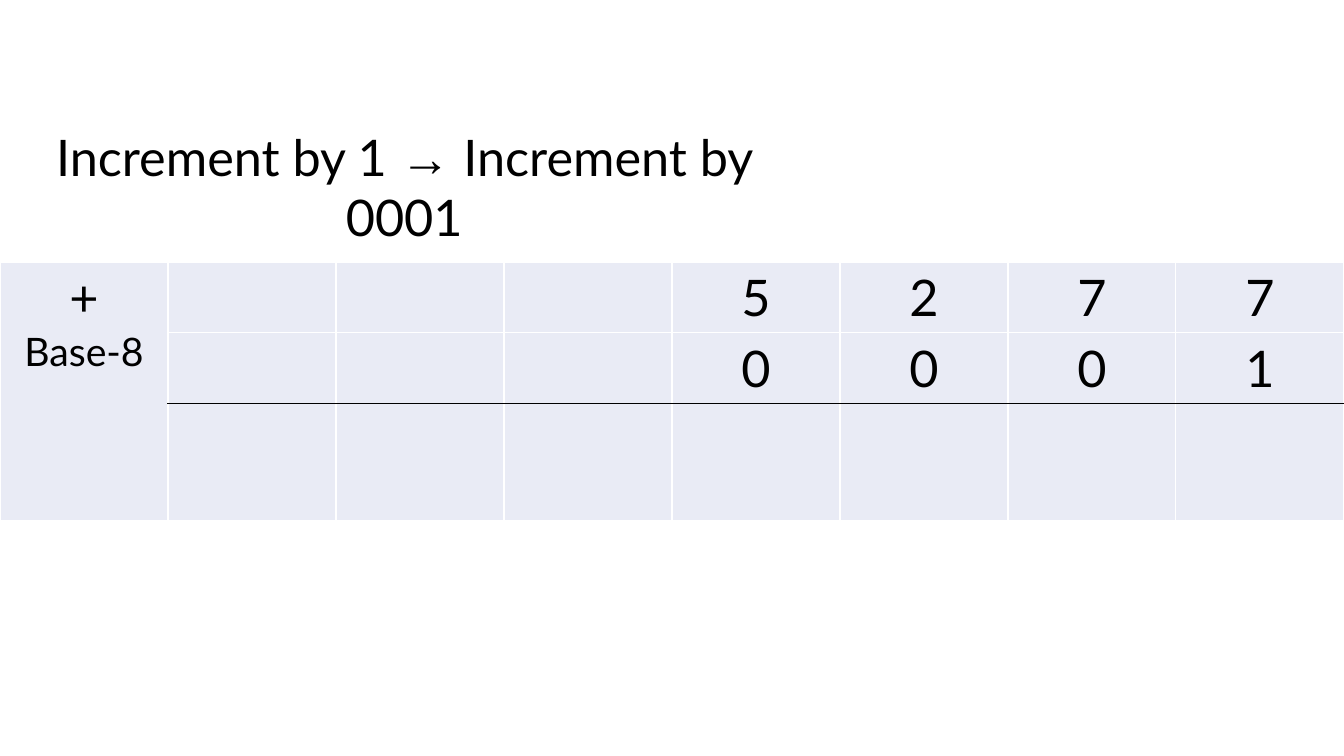
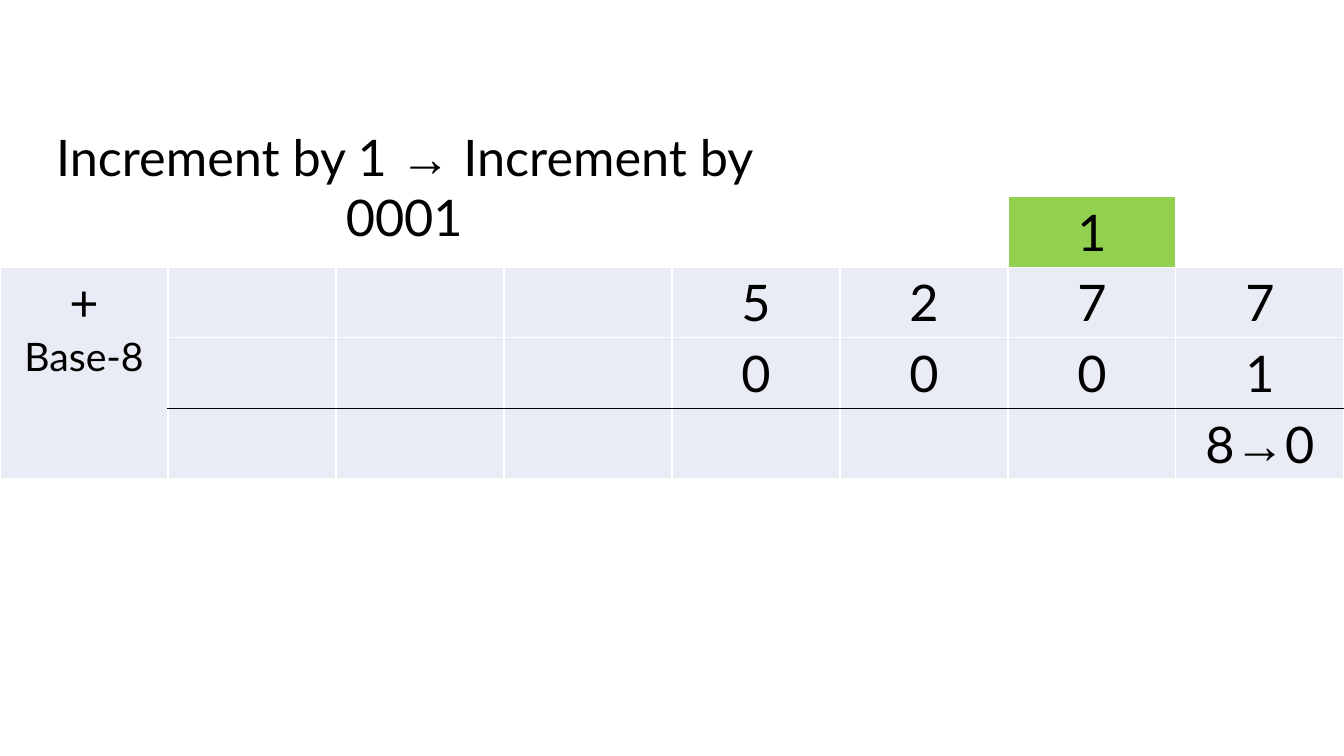
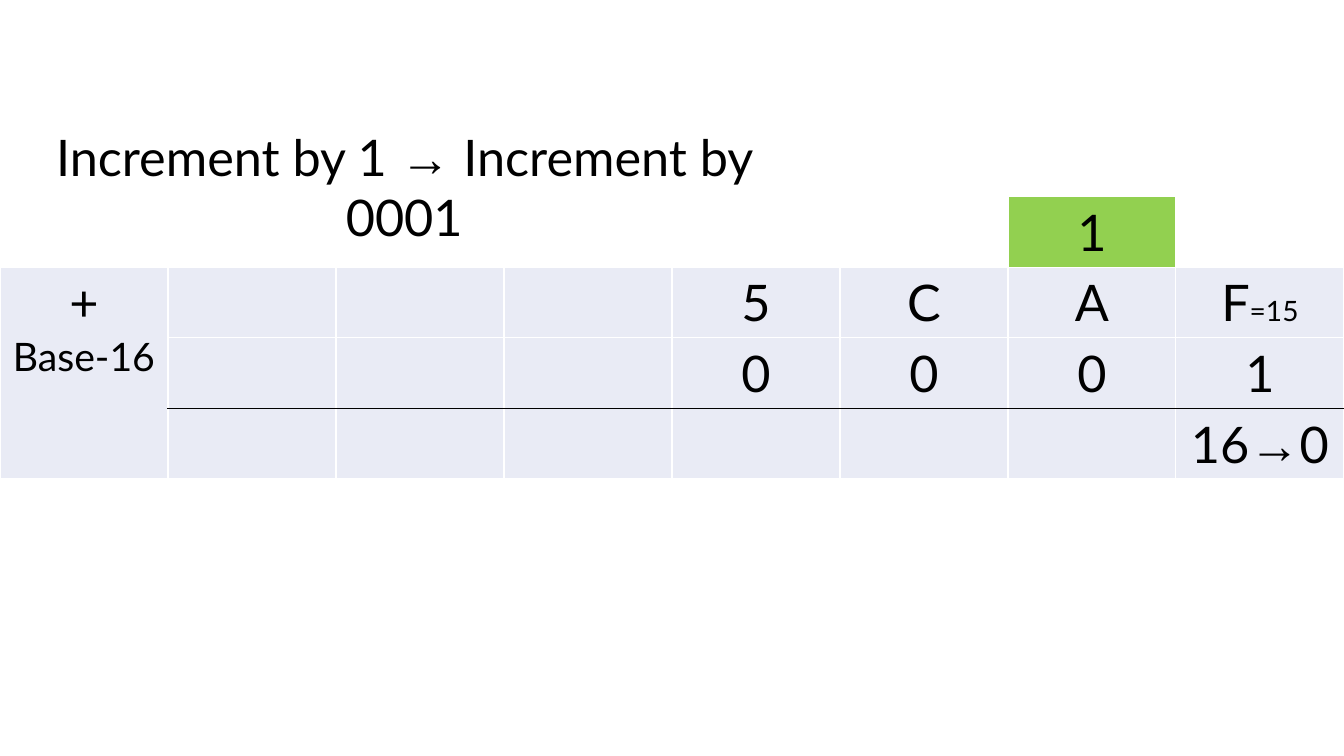
from lxml.etree import SubElement
from pptx import Presentation
from pptx.dml.color import RGBColor
from pptx.enum.text import PP_ALIGN
from pptx.oxml.ns import qn
from pptx.util import Pt

# Shared style
BLACK = RGBColor(0x00, 0x00, 0x00)
WHITE = RGBColor(0xFF, 0xFF, 0xFF)
CELL = RGBColor(0xE9, 0xEB, 0xF5)
CARRY = RGBColor(0x92, 0xD0, 0x50)
FONT, ARROW_FONT = "Lato", "Times New Roman"
DIGIT_SIZE, LABEL_SIZE, NOTE_SIZE = Pt(36), Pt(28), Pt(20)
WIDTH, HEIGHT, COLS = 960, 540, 8
ROW_H = 50.4
TITLE = ("Increment by 1 ", "→", " Increment by 0001")


def write(p, pieces, size=DIGIT_SIZE):
    p.alignment = PP_ALIGN.CENTER
    for piece in pieces:
        r = p.add_run()
        r.text = piece
        r.font.name = ARROW_FONT if piece == "→" else FONT
        r.font.size = NOTE_SIZE if piece.startswith("=") else size
        r.font.color.rgb = BLACK


def set_borders(cell, top, bottom):
    tcPr = cell._tc.get_or_add_tcPr()
    sides = {"lnL": WHITE, "lnR": WHITE, "lnT": top, "lnB": bottom}
    for side, color in sides.items():
        ln = SubElement(tcPr, qn(f"a:{side}"), w=str(Pt(1)))
        fill = SubElement(ln, qn("a:solidFill"))
        SubElement(fill, qn("a:srgbClr"), val=str(color))


# Each sum: table top, last row height, base, first number, carries, result.
# Numbers are aligned to the right; a cell is a sequence of text pieces.
sums = [
    (187.2, 84, "Base-8", ["5", "2", "7", "7"], None, []),
    (140.4, ROW_H, "Base-8", ["5", "2", "7", "7"], ["1", ""],
     [("8", "→", "0")]),
    (140.4, ROW_H, "Base-16", ["5", "C", "A", ("F", "=15")], ["1", ""],
     [("16", "→", "0")]),
]

prs = Presentation()
prs.slide_width, prs.slide_height = Pt(WIDTH), Pt(HEIGHT)

for top, last_h, base, number, carries, result in sums:
    s = prs.slides.add_slide(prs.slide_layouts[6])

    # Addition table
    rows = [number, ["0", "0", "0", "1"], result]
    if carries:
        rows.insert(0, carries)
    first, last = len(rows) - 3, len(rows) - 1
    heights = [ROW_H] * last + [last_h]
    table = s.shapes.add_table(len(rows), COLS, Pt(0), Pt(top),
                               Pt(WIDTH), Pt(sum(heights))).table
    table.first_row = table.horz_banding = False

    for i, (values, height) in enumerate(zip(rows, heights)):
        table.rows[i].height = Pt(height)
        values = [""] * (COLS - len(values)) + values
        for j, value in enumerate(values):
            cell = table.cell(i, j)
            # The sum line runs above the result, right of the label
            set_borders(cell,
                        BLACK if j and i == last else WHITE,
                        BLACK if j and i == last - 1 else WHITE)
            if i < first and not value:
                cell.fill.background()
            else:
                cell.fill.solid()
                cell.fill.fore_color.rgb = CARRY if i < first else CELL
            if value:
                write(cell.text_frame.paragraphs[0], value)

    # Operator and base
    label = table.cell(first, 0)
    label.merge(table.cell(last, 0))
    tf = label.text_frame
    write(tf.paragraphs[0], ["+"])
    write(tf.add_paragraph(), [base], LABEL_SIZE)

    # Title
    tf = s.shapes.add_textbox(Pt(0), Pt(86.4), Pt(577.44), Pt(51)).text_frame
    tf.word_wrap = True
    write(tf.paragraphs[0], TITLE)

prs.save("out.pptx")
